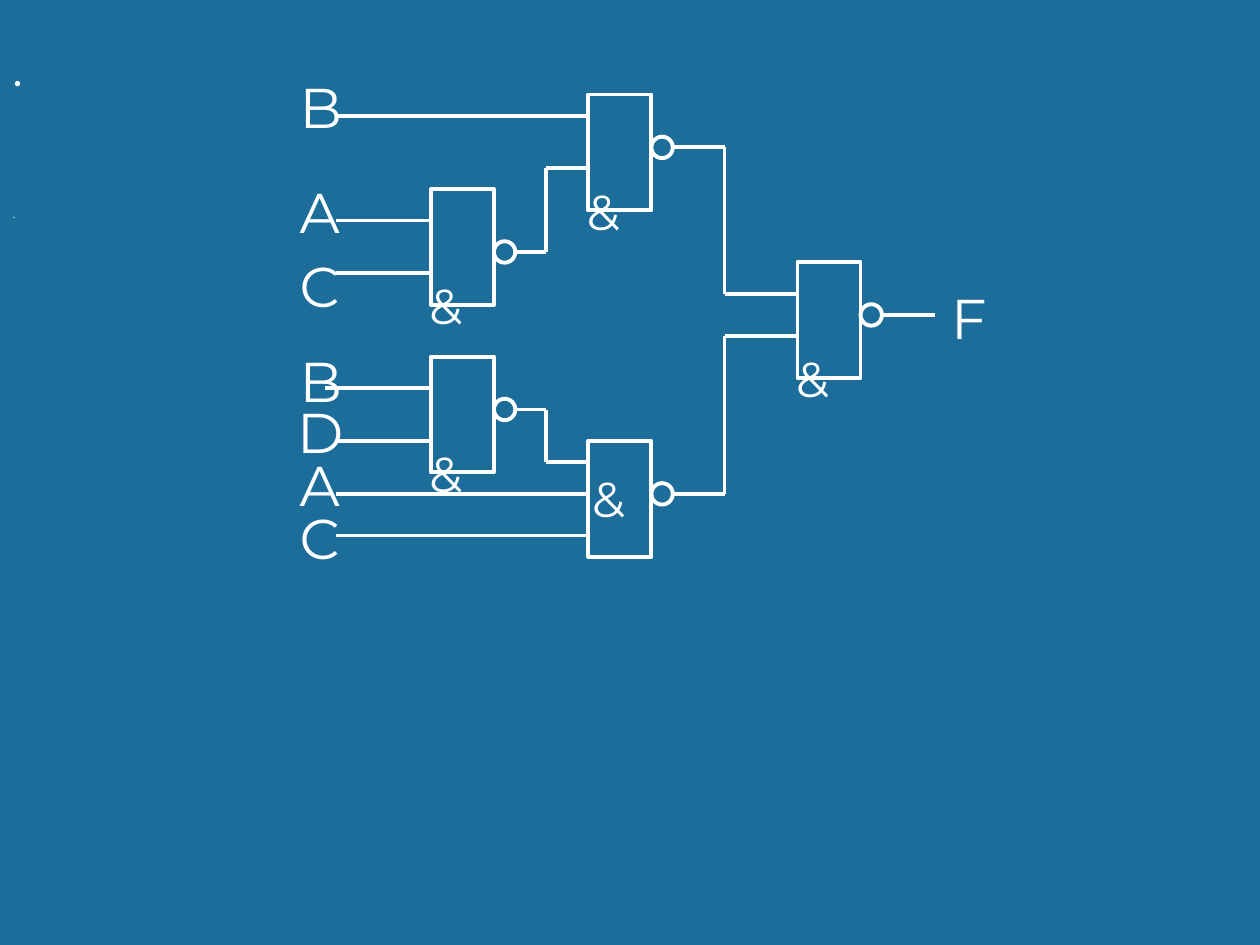
from dataclasses import dataclass
from itertools import pairwise

from lxml.etree import SubElement
from pptx import Presentation
from pptx.dml.color import RGBColor
from pptx.enum.shapes import MSO_CONNECTOR, MSO_SHAPE
from pptx.enum.text import MSO_ANCHOR, MSO_AUTO_SIZE, PP_ALIGN
from pptx.oxml.ns import qn
from pptx.util import Inches, Pt

COLORS = {"back": "1C6D9A", "ink": "FFFFFF", "title": "CCFFFF"}
FONT = "Montserrat"
GATE_W, GATE_H, BUBBLE = 0.5, 0.92, 0.17
INPUT_X = 2.67


@dataclass
class Gate:
    x: float
    y: float
    out_y: float
    text_dx: float = -0.11
    text_dy: float = 0.64


@dataclass
class Label:
    text: str
    x: float
    y: float
    w: float


GATES = [
    Gate(3.42, 1.5, 2),
    Gate(4.67, 0.75, 1.17),
    Gate(3.42, 2.83, 3.25),
    Gate(4.67, 3.5, 3.92, -0.07, 0.17),
    Gate(6.33, 2.08, 2.5),
]

WIRES = [
    [(INPUT_X, 0.92), (4.67, 0.92)],
    [(INPUT_X, 1.75), (3.42, 1.75)],
    [(INPUT_X, 2.17), (3.42, 2.17)],
    [(2.58, 3.08), (3.42, 3.08)],
    [(INPUT_X, 3.5), (3.42, 3.5)],
    [(INPUT_X, 3.92), (4.67, 3.92)],
    [(INPUT_X, 4.25), (4.67, 4.25)],
    [(4.08, 2), (4.33, 2), (4.33, 1.33), (4.67, 1.33)],
    [(4.08, 3.25), (4.33, 3.25), (4.33, 3.67), (4.67, 3.67)],
    [(5.33, 1.17), (5.75, 1.17), (5.75, 2.33), (6.33, 2.33)],
    [(5.33, 3.92), (5.75, 3.92), (5.75, 2.67), (6.33, 2.67)],
    [(7, 2.5), (7.42, 2.5)],
]

LABELS = [
    Label("B", 2.28, 0.53, 0.49),
    Label("A", 2.28, 1.36, 0.48),
    Label("C", 2.28, 1.95, 0.48),
    Label("B", 2.28, 2.7, 0.49),
    Label("D", 2.26, 3.11, 0.52),
    Label("A", 2.28, 3.53, 0.48),
    Label("C", 2.28, 3.95, 0.48),
    Label("F", 7.45, 2.2, 0.43),
]


def rgb(name: str) -> RGBColor:
    return RGBColor.from_string(COLORS[name])


def write(sp, text: str, size: float, color: str = "ink",
          anchor=MSO_ANCHOR.TOP) -> None:
    tf = sp.text_frame
    frame_format = {"word_wrap": True, "auto_size": MSO_AUTO_SIZE.NONE,
                    "vertical_anchor": anchor}
    for key, value in frame_format.items():
        setattr(tf, key, value)
    p = tf.paragraphs[0]
    p.alignment = PP_ALIGN.LEFT
    r = p.add_run()
    r.text = text
    for key, value in {"name": FONT, "size": Pt(size)}.items():
        setattr(r.font, key, value)
    r.font.color.rgb = rgb(color)


def add_text(s, text: str, x: float, y: float, w: float, h: float,
             size: float) -> None:
    box = s.shapes.add_textbox(Inches(x), Inches(y), Inches(w), Inches(h))
    write(box, text, size)


def stroke(sp) -> None:
    sp.line.color.rgb = rgb("ink")
    sp.line.width = Pt(2.25)


def add_outline(s, kind, x: float, y: float, w: float, h: float) -> None:
    sp = s.shapes.add_shape(kind, Inches(x), Inches(y), Inches(w), Inches(h))
    sp.shadow.inherit = False
    sp.fill.background()
    stroke(sp)


def add_gate(s, gate: Gate) -> None:
    add_outline(s, MSO_SHAPE.RECTANGLE, gate.x, gate.y, GATE_W, GATE_H)
    add_outline(s, MSO_SHAPE.OVAL, gate.x + GATE_W, gate.out_y - BUBBLE / 2,
                BUBBLE, BUBBLE)
    add_text(s, "&", gate.x + gate.text_dx, gate.y + gate.text_dy,
             0.55, 0.57, 28)


def add_wire(s, points: list[tuple[float, float]]) -> None:
    for (x1, y1), (x2, y2) in pairwise(points):
        line = s.shapes.add_connector(MSO_CONNECTOR.STRAIGHT, Inches(x1),
                                      Inches(y1), Inches(x2), Inches(y2))
        stroke(line)
        SubElement(line._element.spPr, qn("a:effectLst"))


def main() -> None:
    prs = Presentation()
    prs.slide_width, prs.slide_height = Inches(10), Inches(7.5)
    s = prs.slides.add_slide(prs.slide_layouts[5])
    s.background.fill.solid()
    s.background.fill.fore_color.rgb = rgb("back")

    title = s.shapes.title
    place = {"left": 0, "top": 1.58, "width": 8.5, "height": 0.23}
    for key, value in place.items():
        setattr(title, key, Inches(value))
    write(title, ".", 8, "title", MSO_ANCHOR.BOTTOM)
    add_text(s, ".", 0, 0.25, 9.75, 7, 28)

    for gate in GATES:
        add_gate(s, gate)
    for points in WIRES:
        add_wire(s, points)
    for label in LABELS:
        add_text(s, label.text, label.x, label.y, label.w, 0.64, 32)

    prs.save("out.pptx")


if __name__ == "__main__":
    main()
